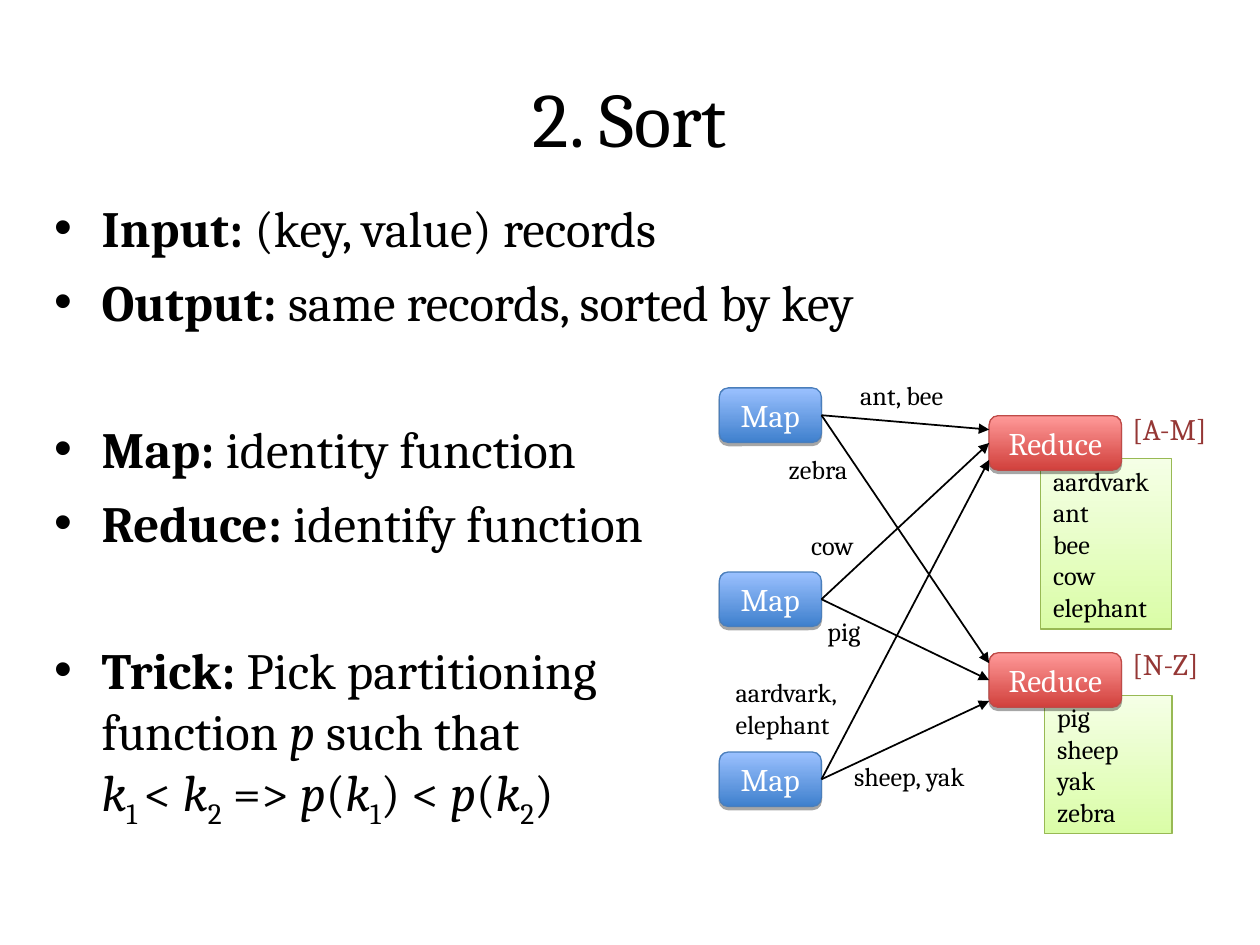
"""Build the "2. Sort" slide: a bullet list beside a map and reduce diagram."""
from lxml import etree
from pptx import Presentation
from pptx.dml.color import RGBColor
from pptx.enum.shapes import MSO_CONNECTOR, MSO_SHAPE
from pptx.enum.text import MSO_ANCHOR, PP_ALIGN
from pptx.oxml import parse_xml
from pptx.oxml.ns import nsdecls, qn
from pptx.util import Cm, Pt

FONT = "Cambria"
COLORS = {
    "text": "000000", "white": "FFFFFF", "range": "953735",
    "map": "3F80CD", "map light": "9BC1FF", "map line": "4A7EBB",
    "reduce": "D1403C", "reduce light": "FF9A99", "reduce line": "BE4B48",
    "list": "DAFDA7", "list light": "F5FFE6", "list line": "98B954",
}
TITLE = "2. Sort"
TITLE_PLACE = (1.27, 0.76, 22.86, 3.18)
BODY_PLACE = (0.84, 3.84, 20.32, 13.77)
INDENT = 0.96
SPACE, GROUP_SPACE = 7.3, 49.4
BULLETS = [
    (SPACE, [("Input:", "b"), (" (key, value) records", "")]),
    (SPACE, [("Output:", "b"), (" same records, sorted by key", "")]),
    (GROUP_SPACE, [("Map:", "b"), (" identity function", "")]),
    (SPACE, [("Reduce:", "b"), (" identify function", "")]),
    (GROUP_SPACE, [
        ("Trick:", "b"), (" Pick partitioning", ""), ("\n", ""),
        ("function ", ""), ("p", "i"), (" such that", ""), ("\n", ""),
        ("k", "i"), ("1 ", "sub"), ("< ", ""), ("k", "i"), ("2", "sub"),
        (" => ", ""), ("p", "i"), ("(", ""), ("k", "i"), ("1", "sub"),
        (") < ", ""), ("p", "i"), ("(", ""), ("k", "i"), ("2", "sub"), (")", ""),
    ]),
]
NODE_HEIGHT = 1.1
MAP_LEFT, MAP_WIDTH, MAP_TOPS = 14.5, 2.06, (7.82, 11.53, 15.16)
REDUCE_LEFT, REDUCE_WIDTH, REDUCE_TOPS = 19.94, 2.67, (8.38, 13.16)
ARRIVALS = [(-0.27, 0, 0.34), (-0.34, 0, 0.42)]
SORTED_LISTS = [
    ((21.06, 14.02, 2.57, 2.79), ["pig", "sheep", "yak", "zebra"]),
    ((20.98, 9.25, 2.64, 3.43), ["aardvark", "ant", "bee", "cow", "elephant"]),
]
LABELS = [
    ((17.09, 7.52, 2.31, 0.89), ["ant, bee"], 15, "text"),
    ((15.65, 9.02, 1.78, 0.89), ["zebra"], 15, "text"),
    ((14.58, 13.51, 2.77, 1.52), ["aardvark,", "elephant"], 15, "text"),
    ((16.1, 10.54, 1.47, 0.89), ["cow"], 15, "text"),
    ((16.43, 12.27, 1.27, 0.89), ["pig"], 15, "text"),
    ((16.97, 15.21, 2.97, 0.89), ["sheep, yak"], 15, "text"),
    ((22.58, 8.15, 2.13, 0.99), ["[A-M]"], 17, "range"),
    ((22.58, 12.9, 2.01, 0.99), ["[N-Z]"], 17, "range"),
]


def color(name):
    return RGBColor.from_string(COLORS[name])


def add_span(para, text, size, tone="text", style=""):
    span = para.add_run()
    span.text = text
    span.font.name, span.font.size = FONT, Pt(size)
    span.font.color.rgb = color(tone)
    span.font.bold, span.font.italic = style == "b", style == "i"
    if style == "sub":
        span.font._element.set("baseline", "-25000")


def write_lines(shape, lines, size, tone="text", align=PP_ALIGN.LEFT, anchor=MSO_ANCHOR.TOP):
    frame = shape.text_frame
    frame.vertical_anchor = anchor
    for index, line in enumerate(lines):
        para = frame.add_paragraph() if index else frame.paragraphs[0]
        para.alignment = align
        add_span(para, line, size, tone)


def add_text_box(page, place, wrap):
    box = page.shapes.add_textbox(*map(Cm, place))
    box.text_frame.word_wrap = wrap
    return box


def add_panel(page, kind, place, tone):
    panel = page.shapes.add_shape(kind, *map(Cm, place))
    panel.shadow.inherit = False
    panel.fill.gradient()
    panel.fill.gradient_angle = 90
    for stop, position, name in zip(panel.fill.gradient_stops, (0, 1), (tone, f"{tone} light")):
        stop.position = position
        stop.color.rgb = color(name)
    panel.line.color.rgb = color(f"{tone} line")
    panel.line.width = Pt(0.75)
    return panel


def add_node(page, place, tone, text):
    node = add_panel(page, MSO_SHAPE.ROUNDED_RECTANGLE, place, tone)
    node.text_frame.margin_left = node.text_frame.margin_right = 0
    write_lines(node, [text], 18, "white", PP_ALIGN.CENTER, MSO_ANCHOR.MIDDLE)
    node._element.spPr.find(qn("a:effectLst")).append(parse_xml(
        f'<a:outerShdw {nsdecls("a")} dist="{Pt(1.8)}" dir="5400000" rotWithShape="0">'
        '<a:srgbClr val="000000"><a:alpha val="35000"/></a:srgbClr></a:outerShdw>'))
    return node


def add_arrow(page, start, end, offset):
    target = end.top + end.height // 2 + Cm(offset)
    arrow = page.shapes.add_connector(MSO_CONNECTOR.STRAIGHT, 0, 0, end.left, target)
    arrow.begin_connect(start, 3)
    if offset == 0:
        arrow.end_connect(end, 1)
    arrow.line.color.rgb = color("text")
    arrow.line.width = Pt(1)
    etree.SubElement(arrow.line._get_or_add_ln(), qn("a:tailEnd"), type="triangle")
    etree.SubElement(arrow._element.spPr, qn("a:effectLst"))


def add_bullets(page):
    frame = add_text_box(page, BODY_PLACE, True).text_frame
    for index, (space, spans) in enumerate(BULLETS):
        para = frame.add_paragraph() if index else frame.paragraphs[0]
        para.space_before = Pt(space)
        properties = para._p.get_or_add_pPr()
        properties.set("marL", str(Cm(INDENT)))
        properties.set("indent", str(-Cm(INDENT)))
        etree.SubElement(properties, qn("a:buFont"), typeface="Arial")
        etree.SubElement(properties, qn("a:buChar"), char="•")
        for text, style in spans:
            if text == "\n":
                para.add_line_break()
            else:
                add_span(para, text, 29, style=style)


def main():
    deck = Presentation()
    deck.slide_width, deck.slide_height = Cm(25.4), Cm(19.05)
    page = deck.slides.add_slide(deck.slide_layouts[6])
    title = add_text_box(page, TITLE_PLACE, True)
    write_lines(title, [TITLE], 44, align=PP_ALIGN.CENTER, anchor=MSO_ANCHOR.MIDDLE)
    add_bullets(page)
    for place, words in SORTED_LISTS:
        panel = add_panel(page, MSO_SHAPE.RECTANGLE, place, "list")
        panel.text_frame.word_wrap = False
        write_lines(panel, words, 15)
    mappers = [add_node(page, (MAP_LEFT, top, MAP_WIDTH, NODE_HEIGHT), "map", "Map")
               for top in MAP_TOPS]
    reducers = [add_node(page, (REDUCE_LEFT, top, REDUCE_WIDTH, NODE_HEIGHT), "reduce", "Reduce")
                for top in REDUCE_TOPS]
    for reducer, offsets in zip(reducers, ARRIVALS):
        for mapper, offset in zip(mappers, offsets):
            add_arrow(page, mapper, reducer, offset)
    for place, lines, size, tone in LABELS:
        write_lines(add_text_box(page, place, False), lines, size, tone)
    deck.save("out.pptx")


if __name__ == "__main__":
    main()
